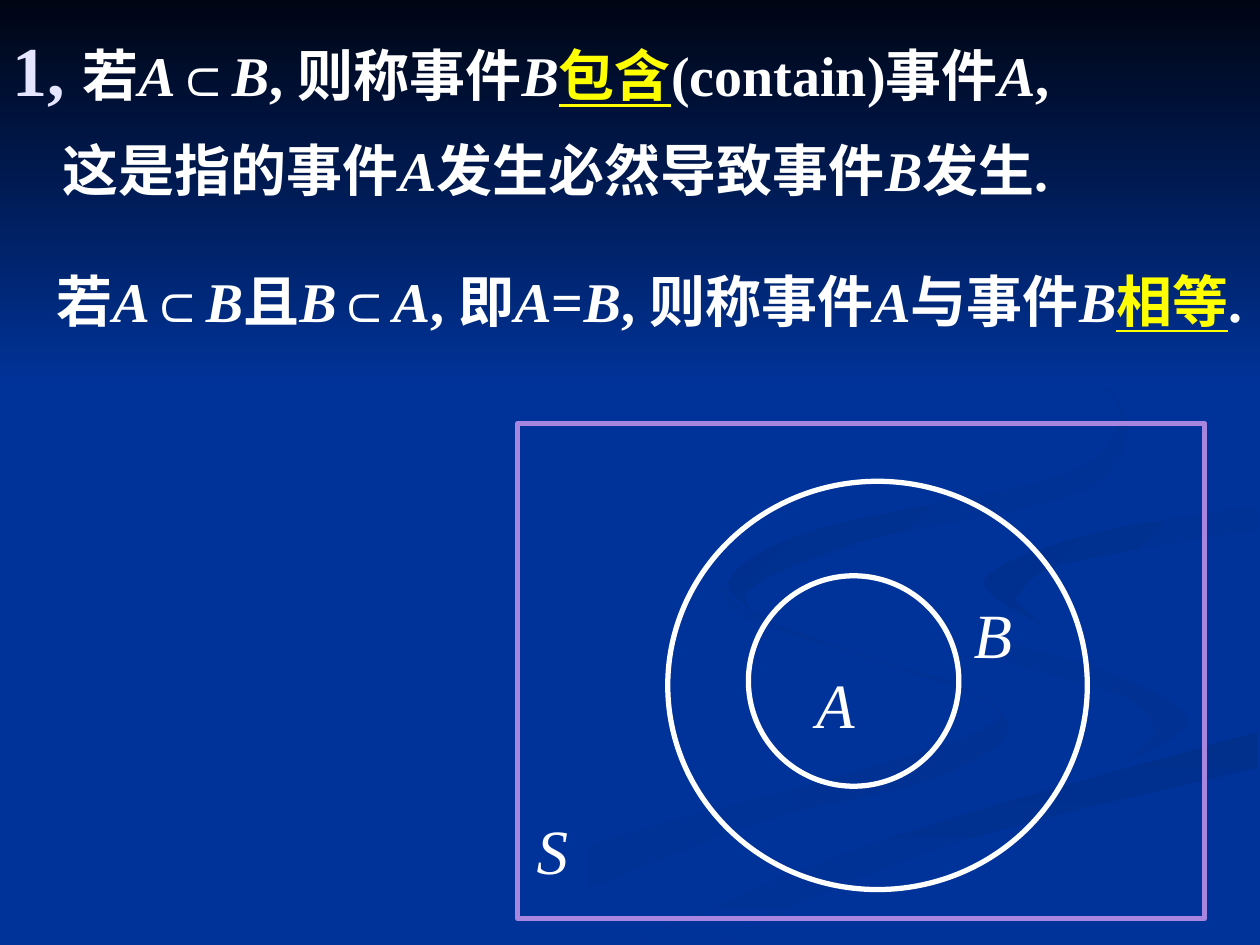
from pptx import Presentation
from pptx.dml.color import RGBColor
from pptx.enum.shapes import MSO_SHAPE
from pptx.enum.text import MSO_ANCHOR, PP_ALIGN
from pptx.util import Inches, Pt

RECT, OVAL = MSO_SHAPE.RECTANGLE, MSO_SHAPE.OVAL
MIDDLE, TOP = MSO_ANCHOR.MIDDLE, MSO_ANCHOR.TOP
LEFT, CENTER = PP_ALIGN.LEFT, PP_ALIGN.CENTER

FONT = "Times New Roman"
STEPS = 6
COLORS = {
    "blue": "003399", "night": "000514", "deep": "002F8C", "dusk": "003193",
    "white": "FFFFFF", "pale": "E5E5FF", "yellow": "FFFF00", "violet": "A886E0",
}

# Runs with a look of their own; all others take the format of their text
SYMBOL = {"italic": True}
TERM = {"color": "yellow", "underline": True}
STYLES = {"A": SYMBOL, "B": SYMBOL, "S": SYMBOL, "包含": TERM, "相等": TERM,
          "1, ": {"size": 40, "color": "pale"}}

# Ribbons: start colour, end colour, clockwise angle, two edges in 1/100 inch
RIBBONS = [
    ("blue", "dusk", 0,
     [(574, 464), (594, 485), (682, 519), (767, 547), (800, 581), (740, 618),
      (594, 656), (361, 749)],
     [(300, 749), (458, 674), (652, 620), (780, 579), (781, 556), (697, 525),
      (593, 491), (570, 468)]),
    ("blue", "dusk", 45,
     [(724, 464), (758, 498), (870, 530), (943, 570), (894, 605)],
     [(918, 581), (892, 553), (797, 524), (733, 488)]),
    ("deep", "blue", 90,
     [(503, 749), (630, 693), (764, 647), (998, 581)],
     [(998, 609), (785, 661), (649, 710), (571, 749)]),
    ("deep", "blue", 45,
     [(998, 402), (865, 424), (781, 460), (826, 496)],
     [(805, 476), (843, 448), (998, 420)]),
    ("deep", "blue", 45,
     [(622, 500), (578, 462), (649, 420), (842, 378), (889, 335), (878, 308)],
     [(881, 308), (894, 344), (855, 391), (683, 430), (593, 470), (622, 500)]),
]


def rgb(name):
    return RGBColor.from_string(COLORS[name])


def place(box, left, top, width, height):
    """Offset a part by the corner of the box that holds it."""
    return [Inches(v) for v in (box[0] + left, box[1] + top, width, height)]


def text(slide, spot, words, *, size=32, color="white", bold=True, align=LEFT,
         anchor=MIDDLE, wrap=True, spacing=1.2):
    """Add one paragraph; bars part the runs that differ in look."""
    frame = slide.shapes.add_textbox(*spot).text_frame
    frame.word_wrap, frame.vertical_anchor = wrap, anchor
    para = frame.paragraphs[0]
    para.alignment, para.line_spacing = align, spacing
    for part in words.split("|"):
        look = {"size": size, "color": color, **STYLES.get(part, {})}
        run = para.add_run()
        run.text = part
        font = run.font
        font.name, font.size, font.bold = FONT, Pt(look["size"]), bold
        font.italic = look.get("italic", False)
        font.underline = look.get("underline", False)
        font.color.rgb = rgb(look["color"])


def outline(slide, kind, spot, color):
    shape = slide.shapes.add_shape(kind, *spot)
    shape.shadow.inherit = False
    shape.fill.background()
    shape.line.color.rgb = rgb(color)
    shape.line.width = Pt(3)


def shade(shape, start, end, angle):
    """Fill with a two-colour gradient and no line."""
    shape.shadow.inherit = False
    shape.line.fill.background()
    fill = shape.fill
    fill.gradient()
    fill.gradient_angle = -angle % 360
    for stop, name in zip(fill.gradient_stops, (start, end)):
        stop.color.rgb = rgb(name)


def curve(knots):
    """Run a smooth Catmull-Rom line through the knots."""
    ends = [knots[0], *knots, knots[-1]]
    line = [knots[0]]
    for quad in zip(ends, ends[1:], ends[2:], ends[3:]):
        for step in range(1, STEPS + 1):
            t = step / STEPS
            line.append([
                b + t * (c - a + t * (2 * a - 5 * b + 4 * c - d
                                      + t * (3 * b - a - 3 * c + d))) / 2
                for a, b, c, d in zip(*quad)])
    return line


def backdrop(slide, box):
    """Blue ground with faint ribbons and a dark band at the top."""
    ground = slide.background.fill
    ground.solid()
    ground.fore_color.rgb = rgb("blue")
    for start, end, angle, near, far in RIBBONS:
        points = curve(near) + curve(far)
        pen = slide.shapes.build_freeform(*points[0], scale=Inches(0.01))
        pen.add_line_segments(points[1:], close=True)
        shape = pen.convert_to_shape(Inches(box[0]), Inches(box[1]))
        shade(shape, start, end, angle)
    band = slide.shapes.add_shape(RECT, *place(box, 0, 0, box[2], 3.08))
    shade(band, "night", "blue", 90)


def lesson(slide, box):
    """Definitions of containing and equal events."""
    text(slide, place(box, 0, -0.19, 10, 1.34),
         "1, |若|A|⊂|B|, 则称事件|B|包含|(contain)事件|A|,")
    text(slide, place(box, 0.4, 0.68, 9.56, 1.21),
         "这是指的事件|A|发生必然导致事件|B|发生.")
    text(slide, place(box, 0.35, 1.86, 10, 0.94),
         "若|A|⊂|B|且|B|⊂|A|, 即|A|=|B|, 则称事件|A|与事件|B|相等|.")


def diagram(slide, box):
    """Sample space S with event A inside event B."""
    outline(slide, RECT, place(box, 0, 0, *box[2:]), "violet")
    outline(slide, OVAL, place(box, 1.19, 0.46, 3.33, 3.24), "white")
    outline(slide, OVAL, place(box, 1.83, 1.21, 1.67, 1.67), "white")
    for name, left, top, width in (("B", 3.52, 1.32, 0.5), ("S", 0.05, 3.03, 0.45),
                                   ("A", 2.27, 1.87, 0.5)):
        text(slide, place(box, left, top, width, 0.7), name, size=36, bold=False,
             align=CENTER, anchor=TOP, wrap=False, spacing=1)


def main():
    deck = Presentation()
    deck.slide_width, deck.slide_height = Inches(10), Inches(7.5)
    slide = deck.slides.add_slide(deck.slide_layouts[6])
    backdrop(slide, (0, 0, 10, 7.5))
    diagram(slide, (4.11, 3.36, 5.45, 3.93))
    lesson(slide, (0, 0, 10, 3))
    deck.save("out.pptx")


if __name__ == "__main__":
    main()
